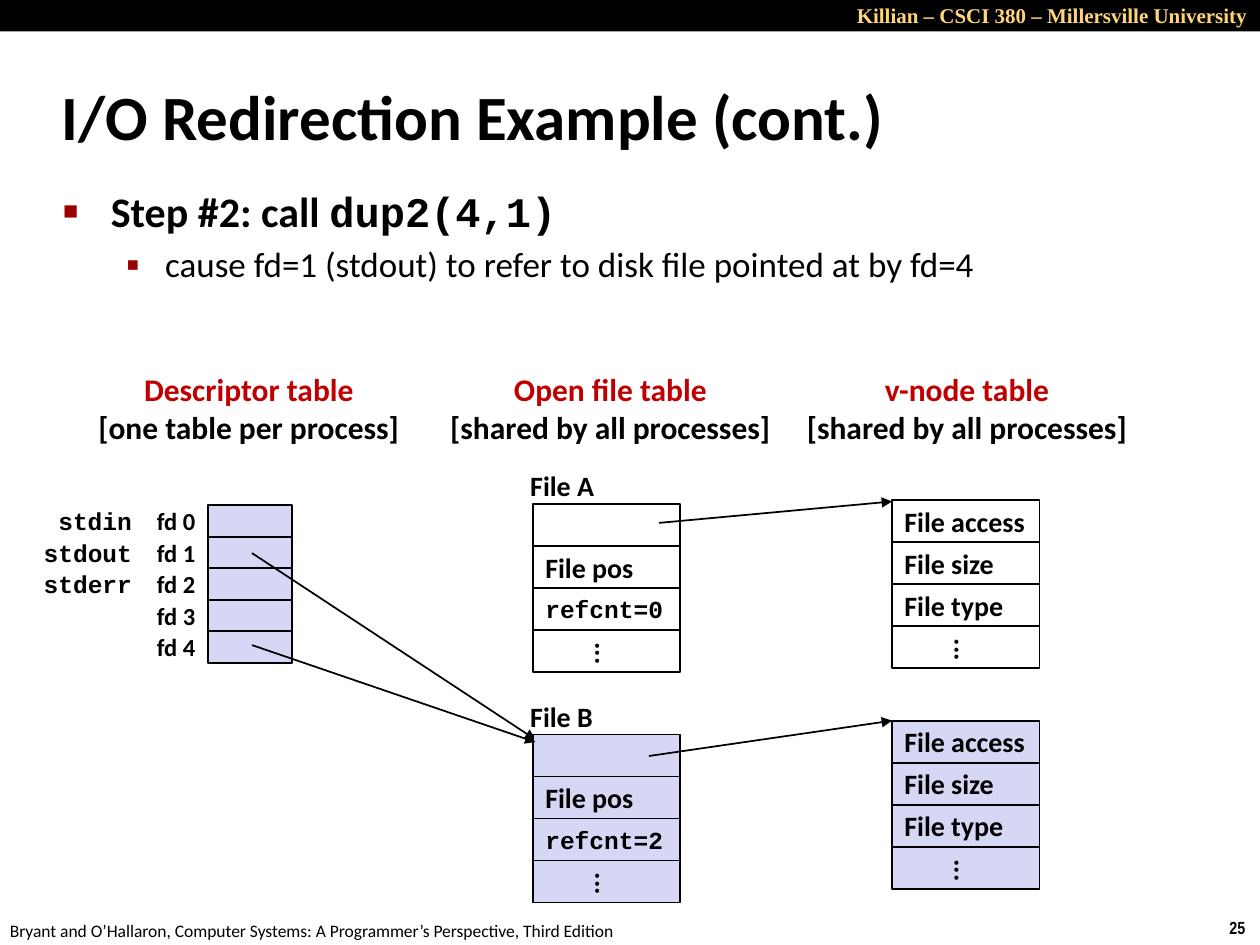
"""Build the slide on redirecting output with dup2, showing descriptor, open file and v-node tables."""
from dataclasses import dataclass

from lxml import etree
from pptx import Presentation
from pptx.dml.color import RGBColor
from pptx.enum.shapes import MSO_CONNECTOR, MSO_SHAPE
from pptx.enum.text import MSO_ANCHOR, MSO_AUTO_SIZE, PP_ALIGN
from pptx.oxml.ns import qn
from pptx.util import Inches, Pt

RECT, STRAIGHT = MSO_SHAPE.RECTANGLE, MSO_CONNECTOR.STRAIGHT
LEFT, CENTER, RIGHT = PP_ALIGN.LEFT, PP_ALIGN.CENTER, PP_ALIGN.RIGHT
TOP, MIDDLE = MSO_ANCHOR.TOP, MSO_ANCHOR.MIDDLE
NO_FIT = MSO_AUTO_SIZE.NONE


@dataclass(frozen=True)
class Style:
    """Font of a run."""
    size: float
    name: str = "Calibri"
    bold: bool = True
    color: str = "000000"


@dataclass(frozen=True)
class Theme:
    """Colours and type styles of the slide."""
    black: str = "000000"
    white: str = "FFFFFF"
    lilac: str = "D6D6F5"
    bullet: str = "990000"
    course: Style = Style(12, "Times New Roman", color="FFD579")
    number: Style = Style(10, "Arial Narrow")
    source: Style = Style(10, bold=False)
    title: Style = Style(36)
    step: Style = Style(24)
    call: Style = Style(24, "Courier New")
    detail: Style = Style(20, bold=False)
    heading: Style = Style(18, color="C00000")
    scope: Style = Style(18)
    cell: Style = Style(16)
    fd: Style = Style(14)
    code: Style = Style(14, "Courier New")


@dataclass(frozen=True)
class Row:
    """One cell of a stacked table."""
    text: str = ""
    style: Style = Style(16)
    vertical: bool = False


@dataclass(frozen=True)
class Stack:
    """A column of equal cells."""
    left: float
    top: float
    width: float
    height: float
    fill: str
    rows: tuple


@dataclass(frozen=True)
class Bullet:
    """A bullet level: sign, size in percent, left margin and space before."""
    char: str
    percent: int
    margin: float
    hang: float
    before: float


THEME = Theme()
MORE = Row("...", vertical=True)
BULLETS = (Bullet("■", 60, 0.38, 0.38, 0), Bullet("▪", 110, 0.81, 0.31, 4))


def add_run(p, text: str, style: Style) -> None:
    """Append a formatted run."""
    r = p.add_run()
    r.text = text
    for key, value in {"size": Pt(style.size), "name": style.name, "bold": style.bold}.items():
        setattr(r.font, key, value)
    r.font.color.rgb = RGBColor.from_string(style.color)


def set_frame(tf, wrap: bool, anchor) -> None:
    """Set wrapping and anchoring of a text frame."""
    for key, value in {"word_wrap": wrap, "auto_size": NO_FIT, "vertical_anchor": anchor}.items():
        setattr(tf, key, value)


def place(sp, left: float, top: float, width: float, height: float) -> None:
    """Move and size a shape."""
    for key, value in {"left": left, "top": top, "width": width, "height": height}.items():
        setattr(sp, key, Inches(value))


def add_label(s, box: tuple, lines: tuple, align=LEFT, wrap=False, anchor=MIDDLE) -> None:
    """Add a text box with one paragraph per (text, style) line."""
    tf = s.shapes.add_textbox(*map(Inches, box)).text_frame
    set_frame(tf, wrap, anchor)
    for i, (text, style) in enumerate(lines):
        p = tf.add_paragraph() if i else tf.paragraphs[0]
        p.alignment = align
        add_run(p, text, style)


def add_rect(s, box: tuple, fill: str, outlined: bool = True):
    """Add a flat rectangle."""
    sp = s.shapes.add_shape(RECT, *map(Inches, box))
    sp.shadow.inherit = False
    sp.fill.solid()
    sp.fill.fore_color.rgb = RGBColor.from_string(fill)
    if outlined:
        sp.line.color.rgb = RGBColor.from_string(THEME.black)
        sp.line.width = Pt(1)
    else:
        sp.line.fill.background()
    return sp


def add_stack(s, stack: Stack) -> None:
    """Draw the cells of a stack from top to bottom."""
    for i, row in enumerate(stack.rows):
        top = stack.top + i * stack.height
        sp = add_rect(s, (stack.left, top, stack.width, stack.height), stack.fill)
        if row.text:
            tf = sp.text_frame
            set_frame(tf, False, MIDDLE)
            tf.paragraphs[0].alignment = LEFT
            add_run(tf.paragraphs[0], row.text, row.style)
            if row.vertical:
                tf._txBody.bodyPr.set("vert", "eaVert")


def add_arrow(s, *ends: float) -> None:
    """Draw an arrow from x1, y1 to x2, y2."""
    line = s.shapes.add_connector(STRAIGHT, *map(Inches, ends))
    line.line.color.rgb = RGBColor.from_string(THEME.black)
    line.line.width = Pt(1)
    etree.SubElement(line.line._get_or_add_ln(), qn("a:tailEnd"), type="triangle")
    etree.SubElement(line._element.spPr, qn("a:effectLst"))


def set_bullet(p, level: int) -> None:
    """Give a paragraph the bullet of its level."""
    bullet = BULLETS[level]
    p.level = level
    p.space_before = Pt(bullet.before)
    pPr = p._p.get_or_add_pPr()
    pPr.set("marL", str(Inches(bullet.margin)))
    pPr.set("indent", str(-Inches(bullet.hang)))
    color = etree.SubElement(pPr, qn("a:buClr"))
    etree.SubElement(color, qn("a:srgbClr"), val=THEME.bullet)
    etree.SubElement(pPr, qn("a:buSzPct"), val=str(bullet.percent * 1000))
    etree.SubElement(pPr, qn("a:buFont"), typeface="Arial")
    etree.SubElement(pPr, qn("a:buChar"), char=bullet.char)


def add_frame(s) -> None:
    """Add the header band and the footer."""
    add_rect(s, (0, 0, 10, 0.25), THEME.black, outlined=False)
    add_label(s, (6.67, -0.03, 3.33, 0.3),
              (("Killian – CSCI 380 – Millersville University", THEME.course),), RIGHT, True, TOP)
    add_label(s, (9.66, 7.23, 0.34, 0.27), (("25", THEME.number),), anchor=TOP)
    add_label(s, (-0.02, 7.25, 5.08, 0.27),
              (("Bryant and O’Hallaron, Computer Systems: A Programmer’s Perspective, Third Edition",
                THEME.source),), anchor=TOP)


def fill_placeholders(s) -> None:
    """Fill the title and the bullet list."""
    title, body = s.placeholders
    place(title, 0.39, 0.5, 8.3, 0.83)
    set_frame(title.text_frame, True, MIDDLE)
    p = title.text_frame.paragraphs[0]
    p.alignment = LEFT
    add_run(p, "I/O Redirection Example (cont.)", THEME.title)
    place(body, 0.4, 1.42, 9.43, 1.08)
    tf = body.text_frame
    set_frame(tf, True, TOP)
    items = ((("Step #2: call ", THEME.step), ("dup2(4,1)", THEME.call)),
             (("cause fd=1 (stdout) to refer to disk file pointed at by fd=4", THEME.detail),))
    for level, runs in enumerate(items):
        p = tf.add_paragraph() if level else tf.paragraphs[0]
        set_bullet(p, level)
        for text, style in runs:
            add_run(p, text, style)


def add_tables(s) -> None:
    """Draw the three kinds of tables, their labels and the arrows."""
    shared = "[shared by all processes]"
    for left, width, name, scope in ((0.67, 2.61, "Descriptor table", "[one table per process]"),
                                     (3.46, 2.77, "Open file table", shared),
                                     (6.29, 2.77, "v-node table", shared)):
        add_label(s, (left, 2.88, width, 0.71),
                  ((name, THEME.heading), (scope, THEME.scope)), CENTER)
    add_stack(s, Stack(1.65, 4.01, 0.67, 0.25, THEME.lilac, (Row(),) * 5))
    for i in range(5):
        add_label(s, (0.98, 4.01 + i * 0.25, 0.67, 0.25), ((f"fd {i}", THEME.fd),), RIGHT)
    for i, stream in enumerate(("stdin", "stdout", "stderr")):
        width = 0.2 + 0.117 * len(stream)
        add_label(s, (1.15 - width, 3.97 + i * 0.25, width, 0.33), ((stream, THEME.code),))
    add_arrow(s, 2, 4.39, 4.25, 5.87)
    vnode = (Row("File access"), Row("File size"), Row("File type"), MORE)
    for name, refs, fill, top, vnode_top in (("File A", 0, THEME.white, 4, 3.97),
                                             ("File B", 2, THEME.lilac, 5.83, 5.72)):
        rows = (Row(), Row("File pos"), Row(f"refcnt={refs}", THEME.code), MORE)
        add_stack(s, Stack(4.23, top, 1.17, 1 / 3, fill, rows))
        add_stack(s, Stack(7.08, vnode_top, 1.17, 1 / 3, fill, vnode))
        add_label(s, (4.11, top - 0.33, 0.71, 0.37), ((name, THEME.cell),))
    add_arrow(s, 2, 5.12, 4.25, 5.89)
    add_arrow(s, 5.23, 4.15, 7.08, 3.98)
    add_arrow(s, 5.15, 6, 7.08, 5.72)


def main() -> None:
    """Build and save the slide."""
    prs = Presentation()
    prs.slide_width, prs.slide_height = Inches(10), Inches(7.5)
    s = prs.slides.add_slide(prs.slide_layouts[1])
    add_frame(s)
    fill_placeholders(s)
    add_tables(s)
    prs.save("out.pptx")


if __name__ == "__main__":
    main()
